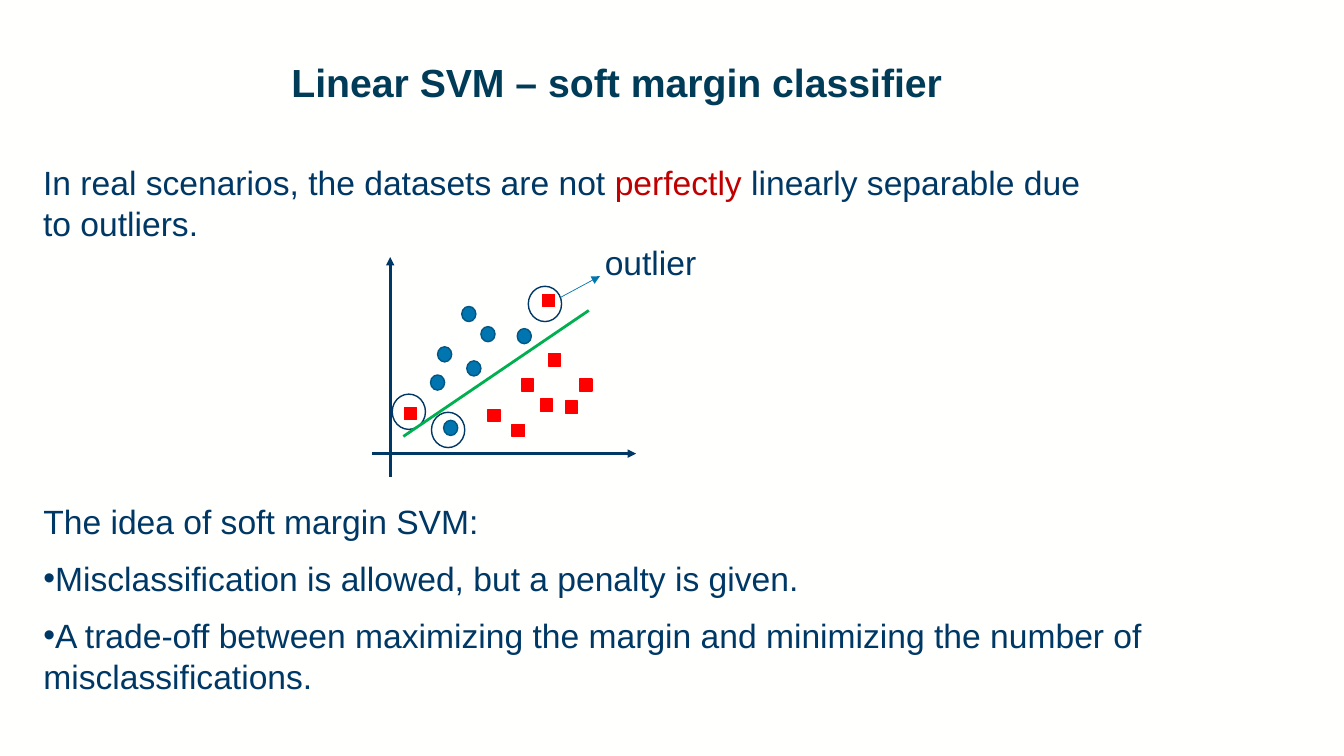
import pptx
import pptx.util
import pptx.dml.color
import pptx.enum.shapes
import pptx.enum.text
import pptx.oxml
import pptx.oxml.ns

PX = 9144
HUES = {
    "paper": "FFFFFE", "title": "003B58", "navy": "003865", "dark": "C00000",
    "red": "FF0000", "blue": "0075B0", "rim": "005782", "green": "00B050",
}
HUES = {name: pptx.dml.color.RGBColor.from_string(code) for name, code in HUES.items()}
KIND = pptx.enum.shapes.MSO_SHAPE
TOP = pptx.enum.text.MSO_ANCHOR.TOP
LEFT = pptx.enum.text.PP_ALIGN.LEFT
FIXED = pptx.enum.text.MSO_AUTO_SIZE.NONE
NS = pptx.oxml.ns.nsdecls("a")


def write(shape, box, rows, size=24, bold=False):
    for name, value in zip(("left", "top", "width", "height"), box):
        setattr(shape, name, value * PX)
    frame = shape.text_frame
    look = {"word_wrap": True, "auto_size": FIXED, "vertical_anchor": TOP}
    for name, value in look.items():
        setattr(frame, name, value)
    for i, (mark, parts) in enumerate(rows):
        para = frame.paragraphs[0] if i == 0 else frame.add_paragraph()
        props = para._p.get_or_add_pPr()
        props.set("marL", "0")
        props.set("indent", str(-31 * PX if mark else 0))
        tag = f'<a:buChar {NS} char="{mark}"/>' if mark else f"<a:buNone {NS}/>"
        props.append(pptx.oxml.parse_xml(tag))
        look = {"alignment": LEFT, "space_before": pptx.util.Pt(12 if i else 0)}
        for name, value in look.items():
            setattr(para, name, value)
        for words, hue in parts:
            run = para.add_run()
            run.text = words
            run.font.color.rgb = HUES[hue]
            look = {"name": "Arial", "size": pptx.util.Pt(size), "bold": bold}
            for name, value in look.items():
                setattr(run.font, name, value)
    return frame


def draw_line(home, ends, hue, width, arrow=True):
    line = home.add_connector(
        pptx.enum.shapes.MSO_CONNECTOR.STRAIGHT, *(end * PX for end in ends))
    line.line.color.rgb = HUES[hue]
    line.line.width = pptx.util.Pt(width)
    if arrow:
        line.line._get_or_add_ln().append(
            pptx.oxml.parse_xml(f'<a:tailEnd {NS} type="triangle"/>'))
    line._element.spPr.append(pptx.oxml.parse_xml(f"<a:effectLst {NS}/>"))


deck = pptx.Presentation()
deck.slide_width = 1333 * PX
deck.slide_height = 750 * PX
slide = deck.slides.add_slide(deck.slide_layouts[1])
slide.background.fill.solid()
slide.background.fill.fore_color.rgb = HUES["paper"]
shapes = slide.shapes

title = write(shapes.title, (279, 58, 1007, 97),
              [("", [("Linear SVM – soft margin classifier", "title")])], 28, True)
title.paragraphs[0].line_spacing = 0.9
write(slide.placeholders[1], (33, 492, 1209, 205), [
    ("", [("The idea of soft margin SVM:", "navy")]),
    ("•", [("Misclassification is allowed, but a penalty is given.", "navy")]),
    ("•", [("A trade-off between maximizing the margin and minimizing "
            "the number of misclassifications.", "navy")]),
])
write(shapes.add_textbox(0, 0, 0, 0), (33, 156, 1063, 91), [("", [
    ("In real scenarios, the datasets are not ", "navy"),
    ("perfectly", "dark"),
    (" linearly separable due to outliers.", "navy"),
])])
write(shapes.add_textbox(0, 0, 0, 0), (590, 235, 118, 50),
      [("", [("outlier", "navy")])])

squares = [(517, 376), (536, 396), (561, 398), (484, 406), (575, 376),
           (544, 351), (508, 421), (538, 292), (401, 404)]
dots = [(458, 304), (477, 324), (434, 344), (463, 358),
        (513, 326), (427, 372), (440, 417)]
rings = [(524, 284), (389, 391), (428, 409)]
for kind, spots, wide, high, fill, rim in (
    (KIND.RECTANGLE, squares, 12, 12, "red", "red"),
    (KIND.OVAL, dots, 14, 15, "blue", "rim"),
    (KIND.OVAL, rings, 33, 35, None, "navy"),
):
    home = shapes.add_group_shape().shapes if fill else shapes
    for left, top in spots:
        mark = home.add_shape(kind, left * PX, top * PX, wide * PX, high * PX)
        mark.shadow.inherit = False
        if fill:
            mark.fill.solid()
            mark.fill.fore_color.rgb = HUES[fill]
        else:
            mark.fill.background()
        mark.line.color.rgb = HUES[rim]
        mark.line.width = pptx.util.Pt(1)

axes = shapes.add_group_shape().shapes
draw_line(axes, (369, 450, 631, 450), "navy", 2)
draw_line(axes, (387, 473, 387, 255), "navy", 2)
draw_line(shapes, (556, 295, 595, 274), "blue", 0.5)
draw_line(shapes, (400, 433, 584, 308), "green", 2, False)

deck.save("out.pptx")
